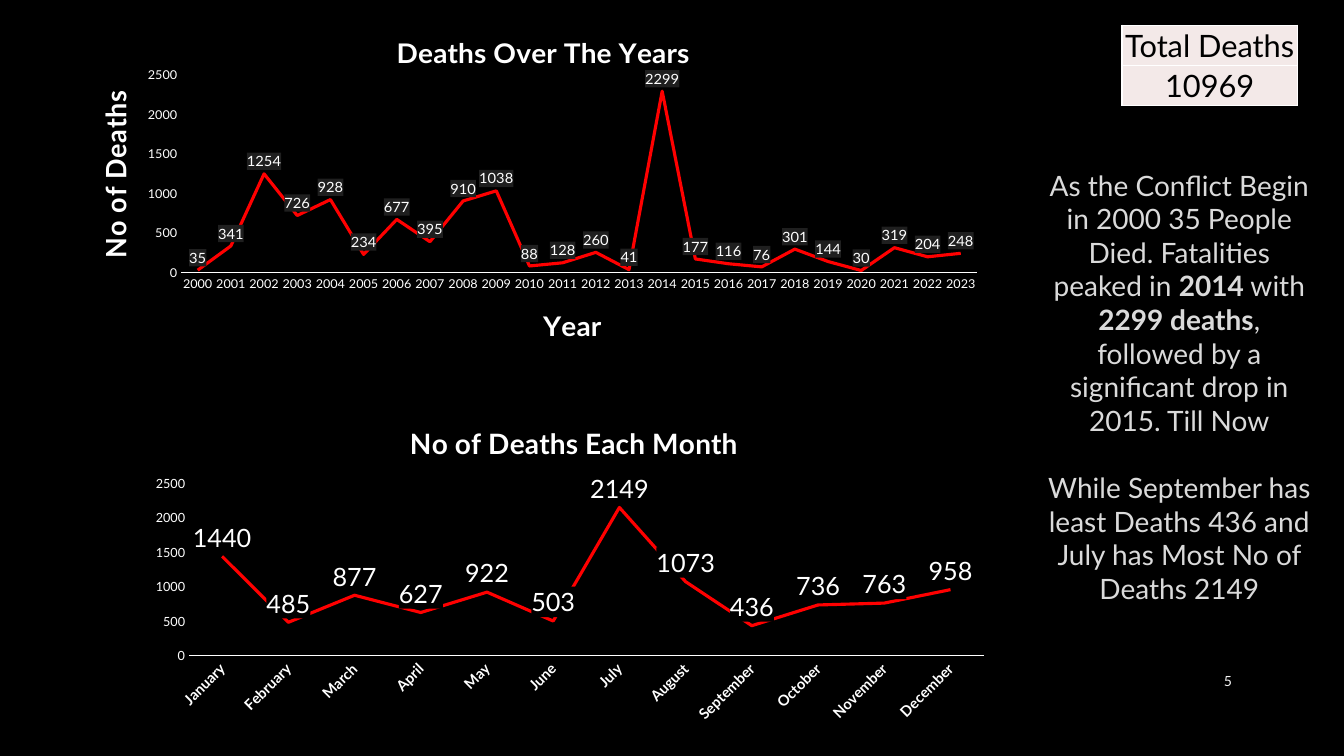
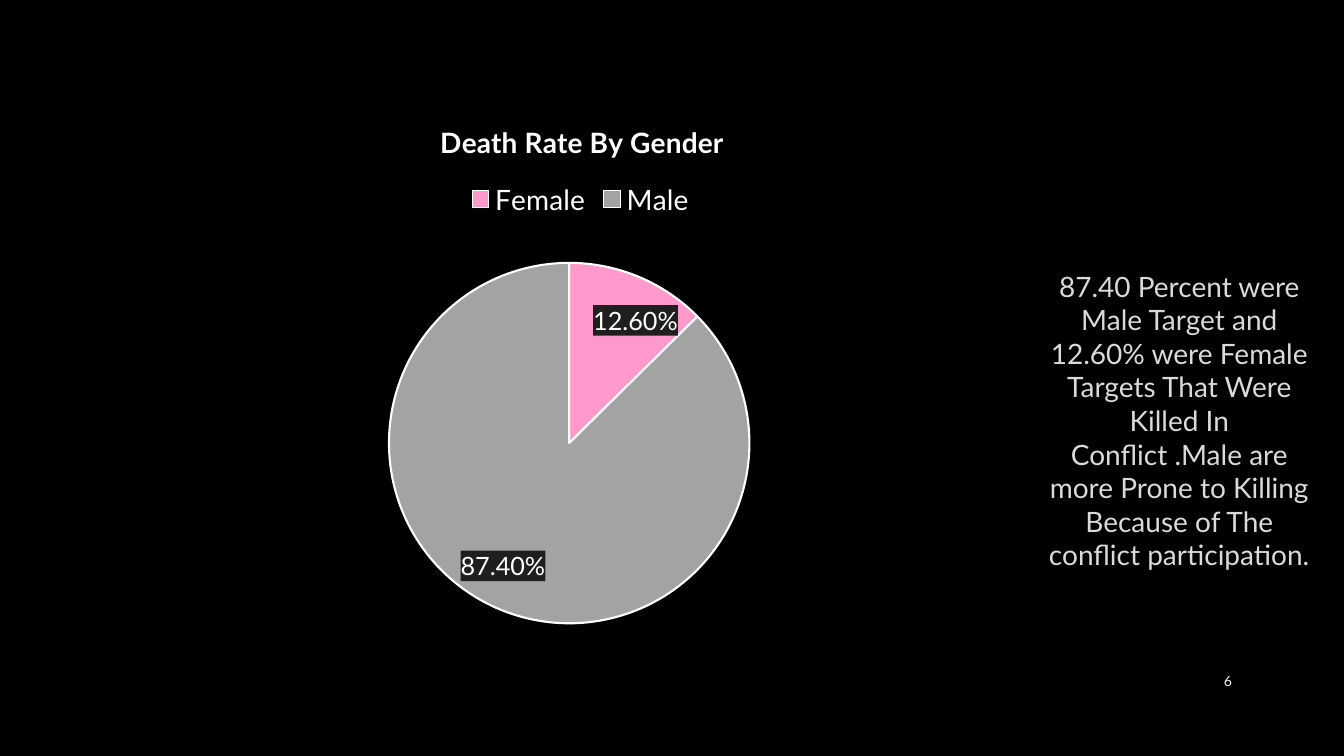
from lxml import etree
from pptx import Presentation
from pptx.chart.data import CategoryChartData
from pptx.dml.color import RGBColor
from pptx.enum.chart import (XL_CHART_TYPE, XL_LABEL_POSITION, XL_LEGEND_POSITION,
                             XL_MARKER_STYLE, XL_TICK_MARK)
from pptx.enum.text import MSO_ANCHOR, PP_ALIGN
from pptx.oxml.ns import qn
from pptx.util import Pt

BLACK = RGBColor(0x00, 0x00, 0x00)
WHITE = RGBColor(0xFF, 0xFF, 0xFF)
SOFT_WHITE = RGBColor(0xF2, 0xF2, 0xF2)
SILVER = RGBColor(0xDA, 0xDA, 0xDA)
CHARCOAL = RGBColor(0x1F, 0x1F, 0x1F)
ROSE = RGBColor(0xF3, 0xE9, 0xE8)
RED = RGBColor(0xFF, 0x00, 0x00)
PINK = RGBColor(0xFF, 0x99, 0xCC)
GRAY = RGBColor(0xA3, 0xA3, 0xA3)

LINE, PIE = XL_CHART_TYPE.LINE, XL_CHART_TYPE.PIE
ABOVE, BEST_FIT = XL_LABEL_POSITION.ABOVE, XL_LABEL_POSITION.BEST_FIT
LEGEND_TOP = XL_LEGEND_POSITION.TOP
NO_MARKER, NO_TICK = XL_MARKER_STYLE.NONE, XL_TICK_MARK.NONE
CENTER, RIGHT = PP_ALIGN.CENTER, PP_ALIGN.RIGHT
MIDDLE = MSO_ANCHOR.MIDDLE

FONT = "Lato"
LINE_BREAK = "\n"
COMMENTARY = {"size": Pt(20), "color": SILVER}
PAGE_NUMBER = {"size": Pt(10), "color": SOFT_WHITE}
TABLE_TEXT = {"size": Pt(22), "color": BLACK}
CHART_TEXT = {"size": Pt(10), "color": WHITE}
TICK_TEXT = {"size": Pt(9), "color": WHITE, "bold": False}
MONTH_TEXT = {"size": Pt(10.5), "color": WHITE, "bold": True}
HEADING = {"size": Pt(20), "color": WHITE, "bold": True}
LEGEND_TEXT = {"size": Pt(20), "color": WHITE}
SMALL_LABEL = {"size": Pt(10.5), "color": WHITE}
LARGE_LABEL = {"size": Pt(18), "color": WHITE}


def style(font, looks):
    for name, value in {"name": FONT, **looks}.items():
        if name == "color":
            font.fill.solid()
            font.fill.fore_color.rgb = value
        else:
            setattr(font, name, value)


def fill_properties(color=None):
    properties = etree.Element(qn("c:spPr"))
    if color is None:
        etree.SubElement(properties, qn("a:noFill"))
    else:
        solid = etree.SubElement(properties, qn("a:solidFill"))
        etree.SubElement(solid, qn("a:srgbClr"), val=str(color))
    line = etree.SubElement(properties, qn("a:ln"))
    etree.SubElement(line, qn("a:noFill"))
    return properties


def place(element, **fractions):
    old = element.find(qn("c:layout"))
    if old is not None:
        element.remove(old)
    layout = etree.Element(qn("c:layout"))
    manual = etree.SubElement(layout, qn("c:manualLayout"))
    if "w" in fractions:
        etree.SubElement(manual, qn("c:layoutTarget"), val="inner")
    for mode in ("xMode", "yMode"):
        etree.SubElement(manual, qn("c:" + mode), val="edge")
    for name, value in fractions.items():
        etree.SubElement(manual, qn("c:" + name), val=str(value))
    before = [child for child in element if child.tag in (qn("c:tx"), qn("c:legendPos"))]
    element.insert(len(before), layout)


def caption(title, words, x, y):
    frame = title.text_frame
    frame.text = words
    style(frame.paragraphs[0].runs[0].font, HEADING)
    place(title._element, x=x, y=y)
    return frame


class DeckBuilder:
    def __init__(self):
        self.deck = Presentation()
        self.deck.slide_width, self.deck.slide_height = Pt(960), Pt(540)
        self.page = None

    def add_page(self, number, paragraphs, height):
        self.page = self.deck.slides.add_slide(self.deck.slide_layouts[6])
        self.page.background.fill.solid()
        self.page.background.fill.fore_color.rgb = BLACK
        self.text((738, 116.6, 208.8, height), paragraphs, COMMENTARY, CENTER)
        self.text((828, 472.3, 59, 28.8), [[str(number)]], PAGE_NUMBER, RIGHT)

    def text(self, area, paragraphs, looks, align):
        box = self.page.shapes.add_textbox(*map(Pt, area))
        frame = box.text_frame
        frame.word_wrap = True
        frame.vertical_anchor = MIDDLE
        for index, spans in enumerate(paragraphs):
            para = frame.add_paragraph() if index else frame.paragraphs[0]
            para.alignment = align
            if index:
                para.space_before = Pt(24)
            for position, words in enumerate(spans):
                if words == LINE_BREAK:
                    para.add_line_break()
                    continue
                span = para.add_run()
                span.text = words
                style(span.font, {**looks, "bold": position % 2 == 1})

    def table(self, area, values):
        table = self.page.shapes.add_table(len(values), 1, *map(Pt, area)).table
        for row, value in enumerate(values):
            cell = table.cell(row, 0)
            cell.fill.solid()
            cell.fill.fore_color.rgb = ROSE
            cell.vertical_anchor = MIDDLE
            for side in ("left", "right", "top", "bottom"):
                setattr(cell, "margin_" + side, Pt(0.5))
            para = cell.text_frame.paragraphs[0]
            para.alignment = CENTER
            span = para.add_run()
            span.text = value
            style(span.font, TABLE_TEXT)
            properties = cell._tc.get_or_add_tcPr()
            for index, side in enumerate(("lnL", "lnR", "lnT", "lnB")):
                border = etree.Element(qn("a:" + side), w=str(Pt(1)))
                solid = etree.SubElement(border, qn("a:solidFill"))
                etree.SubElement(solid, qn("a:srgbClr"), val=str(WHITE))
                properties.insert(index, border)

    def chart(self, kind, area, points, title, plot_area, labels, position,
              backdrop, number_format="General"):
        data = CategoryChartData()
        data.categories = list(points)
        data.add_series("Series 1", list(points.values()))
        chart = self.page.shapes.add_chart(kind, *map(Pt, area), data).chart
        style(chart.font, CHART_TEXT)
        chart._chartSpace.find(qn("c:txPr")).addprevious(fill_properties())
        chart.has_legend = False
        chart.has_title = True
        chart.chart_title.include_in_layout = False
        caption(chart.chart_title, *title)
        x, y, width, height = plot_area
        plot_element = chart._chartSpace.find(".//" + qn("c:plotArea"))
        place(plot_element, x=x, y=y, w=width, h=height)
        plot_element.append(fill_properties())
        plot = chart.plots[0]
        plot.vary_by_categories = kind == PIE
        plot.has_data_labels = True
        data_labels = plot.data_labels
        settings = {"show_value": True, "position": position,
                    "number_format": number_format, "number_format_is_linked": False}
        for name, value in settings.items():
            setattr(data_labels, name, value)
        style(data_labels.font, labels)
        data_labels._element.find(qn("c:txPr")).addprevious(fill_properties(backdrop))
        return chart

    def line_chart(self, area, points, title, plot_area, labels, backdrop,
                   category_text, rotation):
        chart = self.chart(LINE, area, points, title, plot_area, labels, ABOVE, backdrop)
        series = chart.plots[0].series[0]
        series.smooth = False
        series.marker.style = NO_MARKER
        series.format.line.color.rgb = RED
        series.format.line.width = Pt(2.25)
        categories, values = chart.category_axis, chart.value_axis
        for axis, looks in ((categories, category_text), (values, TICK_TEXT)):
            axis.has_major_gridlines = False
            axis.major_tick_mark = axis.minor_tick_mark = NO_TICK
            style(axis.tick_labels.font, looks)
        categories.format.line.color.rgb = WHITE
        categories.format.line.width = Pt(0.75)
        body = categories._element.find(qn("c:txPr")).find(qn("a:bodyPr"))
        body.set("rot", str(rotation * 60000))
        values.format.line.fill.background()
        values.minimum_scale, values.maximum_scale, values.major_unit = 0, 2500, 500
        return chart

    def axis_titles(self, chart, category_title, value_title):
        caption(chart.category_axis.axis_title, *category_title)
        frame = caption(chart.value_axis.axis_title, *value_title)
        body = frame._txBody.find(qn("a:bodyPr"))
        body.set("rot", "-5400000")
        body.set("vert", "horz")

    def pie_chart(self, area, points, title, plot_area, colors):
        chart = self.chart(PIE, area, points, title, plot_area, LARGE_LABEL,
                           BEST_FIT, CHARCOAL, "0.00%")
        chart.has_legend = True
        chart.legend.position = LEGEND_TOP
        chart.legend.include_in_layout = False
        style(chart.legend.font, LEGEND_TEXT)
        place(chart.legend._element, x=0.37, y=0.14)
        for index, color in enumerate(colors):
            look = chart.plots[0].series[0].points[index].format
            look.fill.solid()
            look.fill.fore_color.rgb = color
            look.line.color.rgb = WHITE
            look.line.width = Pt(1.5)


def main():
    yearly = [35, 341, 1254, 726, 928, 234, 677, 395, 910, 1038, 88, 128,
              260, 41, 2299, 177, 116, 76, 301, 144, 30, 319, 204, 248]
    deaths_by_year = {str(2000 + index): count for index, count in enumerate(yearly)}
    deaths_by_month = {
        "January": 1440, "February": 485, "March": 877, "April": 627,
        "May": 922, "June": 503, "July": 2149, "August": 1073,
        "September": 436, "October": 736, "November": 763, "December": 958}

    builder = DeckBuilder()
    builder.add_page(5, [
        ["As the Conflict Begin in 2000 35 People Died. Fatalities peaked in ", "2014",
         " with ", "2299 deaths", ", followed by a significant drop in 2015. Till Now"],
        ["While September has least Deaths 436 and July has Most No of Deaths 2149"]], 319)
    builder.table((801.4, 18, 125.3, 57.2), ["Total Deaths", "10969"])
    years = builder.line_chart(
        (64, 18, 653.8, 232.6), deaths_by_year, ("Deaths Over The Years", 0.33, 0.01),
        (0.1, 0.16, 0.87, 0.63), SMALL_LABEL, CHARCOAL, TICK_TEXT, 0)
    builder.axis_titles(years, ("Year", 0.49, 0.88), ("No of Deaths", 0, 0.21))
    builder.line_chart(
        (98, 289.4, 617, 232.6), deaths_by_month, ("No of Deaths Each Month", 0.31, 0.04),
        (0.06, 0.24, 0.92, 0.53), LARGE_LABEL, BLACK, MONTH_TEXT, -45)

    builder.add_page(6, [
        ["87.40 Percent were Male Target and 12.60% were Female Targets That Were Killed In",
         LINE_BREAK,
         "Conflict .Male are more Prone to Killing Because of The conflict participation."]], 367.2)
    builder.pie_chart(
        (86.4, 72, 660.2, 385.2), {"Female": 0.126, "Male": 0.874},
        ("Death Rate By Gender", 0.34, 0.03), (0.29, 0.3, 0.39, 0.67), (PINK, GRAY))
    builder.deck.save("out.pptx")


if __name__ == "__main__":
    main()
